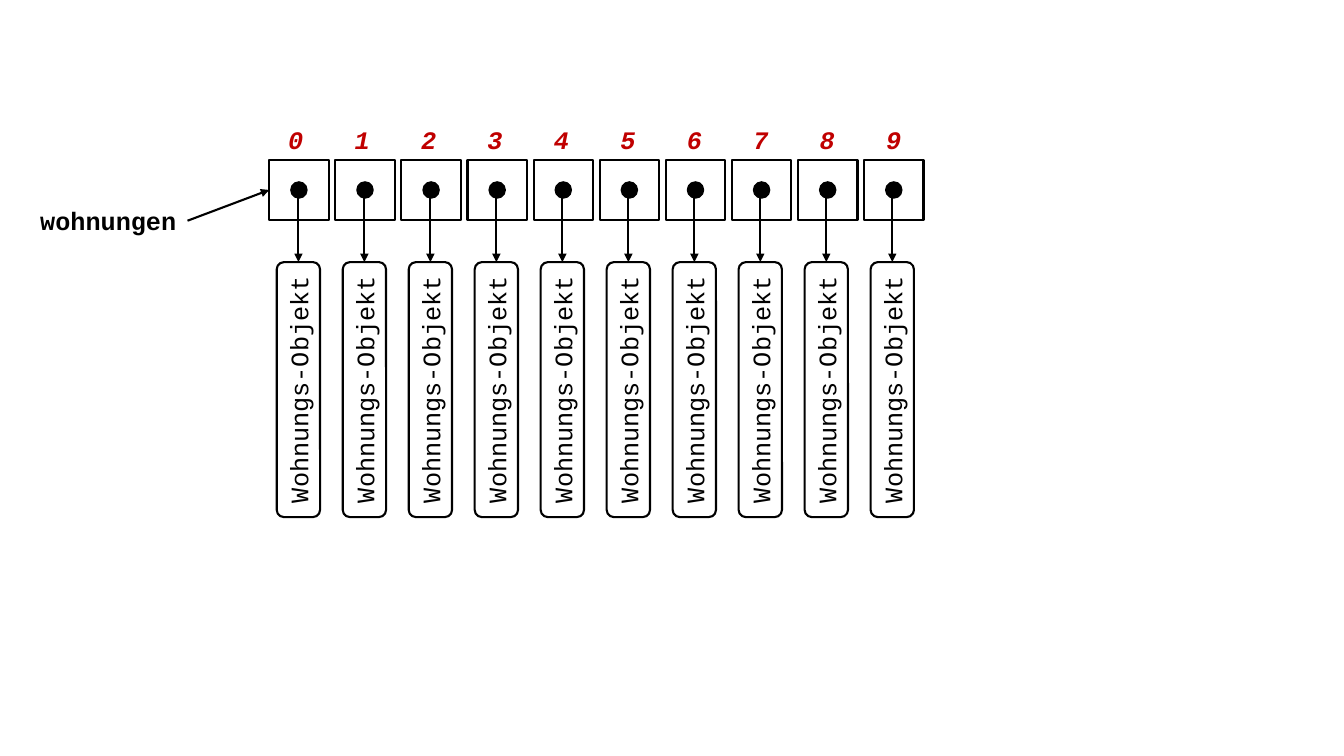
import pptx
import pptx.util
import pptx.dml.color
import pptx.enum.shapes
import pptx.enum.text
import pptx.oxml
import pptx.oxml.ns
from pptx.util import Inches

COLORS = {"ink": "000000", "index": "C00000"}
FONT = "Courier New"
COUNT = 10
CELL_SIZE = 0.59
DOT_SIZE = 0.16
OBJECT_LENGTH = 2.53
OBJECT_WIDTH = 0.43
SHAPES = pptx.enum.shapes.MSO_SHAPE


def rgb(name):
    return pptx.dml.color.RGBColor.from_string(COLORS[name])


def write(shape, text, color="ink", **formats):
    paragraph = shape.text_frame.paragraphs[0]
    run = paragraph.add_run()
    run.text = text
    values = {"name": FONT, "size": pptx.util.Pt(18), **formats}
    for key, value in values.items():
        setattr(run.font, key, value)
    run.font.color.rgb = rgb(color)
    return paragraph


def add_label(slide, left, top, width, text, color="ink", **formats):
    label = slide.shapes.add_textbox(
        Inches(left), Inches(top), Inches(width), Inches(0.4))
    label.text_frame.word_wrap = False
    label.text_frame.auto_size = pptx.enum.text.MSO_AUTO_SIZE.SHAPE_TO_FIT_TEXT
    write(label, text, color, bold=True, **formats)


def add_outline(slide, kind, left, top, width, height, line_width=1.5):
    shape = slide.shapes.add_shape(
        kind, Inches(left), Inches(top), Inches(width), Inches(height))
    shape.shadow.inherit = False
    shape.fill.background()
    shape.line.color.rgb = rgb("ink")
    shape.line.width = pptx.util.Pt(line_width)
    return shape


def add_arrow(slide, start, end):
    arrow = slide.shapes.add_connector(
        pptx.enum.shapes.MSO_CONNECTOR.STRAIGHT,
        *[Inches(value) for value in (*start, *end)])
    arrow.line.color.rgb = rgb("ink")
    arrow.line.width = pptx.util.Pt(1.5)
    head = pptx.oxml.parse_xml(
        f'<a:tailEnd {pptx.oxml.ns.nsdecls("a")} type="triangle"/>')
    arrow.line._get_or_add_ln().append(head)
    arrow._element.spPr.append(
        pptx.oxml.parse_xml(f'<a:effectLst {pptx.oxml.ns.nsdecls("a")}/>'))


def add_cell(slide, left, top):
    """Draw one array element with its reference dot."""
    add_outline(slide, SHAPES.RECTANGLE, left, top, CELL_SIZE, CELL_SIZE)
    inset = (CELL_SIZE - DOT_SIZE) / 2
    dot = add_outline(slide, SHAPES.OVAL, left + inset, top + inset,
                      DOT_SIZE, DOT_SIZE, 1)
    dot.fill.solid()
    dot.fill.fore_color.rgb = rgb("ink")


def add_object(slide, center, top):
    """Draw an upright object box and the arrow that leads down to it."""
    middle = top + OBJECT_LENGTH / 2
    box = add_outline(slide, SHAPES.ROUNDED_RECTANGLE,
                      center - OBJECT_LENGTH / 2, middle - OBJECT_WIDTH / 2,
                      OBJECT_LENGTH, OBJECT_WIDTH)
    box.rotation = 270
    box.text_frame.word_wrap = True
    box.text_frame.vertical_anchor = pptx.enum.text.MSO_ANCHOR.MIDDLE
    paragraph = write(box, "Wohnungs-Objekt")
    paragraph.alignment = pptx.enum.text.PP_ALIGN.CENTER
    add_arrow(slide, (center, top - 0.64), (center, top))


def spread(first, last):
    """Return evenly spaced positions, one for each array element."""
    return [first + (last - first) * i / (COUNT - 1) for i in range(COUNT)]


def add_array(slide, left, top):
    for index, x in enumerate(spread(left + 0.09, left + 6.02)):
        add_label(slide, x, top - 0.41, 0.35, str(index), "index", italic=True)
    for x in spread(left, left + 5.9):
        add_cell(slide, x, top)
    for center in spread(left + 0.29, left + 6.18):
        add_object(slide, center, top + 1.01)


def add_variable(slide, left, top, target):
    """Draw the variable name and its arrow to the array."""
    width = 1.56
    add_label(slide, left, top, width, "wohnungen")
    add_arrow(slide, (left + width, top + 0.2), target)


def main():
    presentation = pptx.Presentation()
    presentation.slide_width = Inches(13.33)
    presentation.slide_height = Inches(7.5)
    slide = presentation.slides.add_slide(presentation.slide_layouts[6])
    array_left, array_top = 2.67, 1.59
    add_array(slide, array_left, array_top)
    add_variable(slide, 0.3, 1.99, (array_left, array_top + CELL_SIZE / 2))
    presentation.save("out.pptx")


if __name__ == "__main__":
    main()
